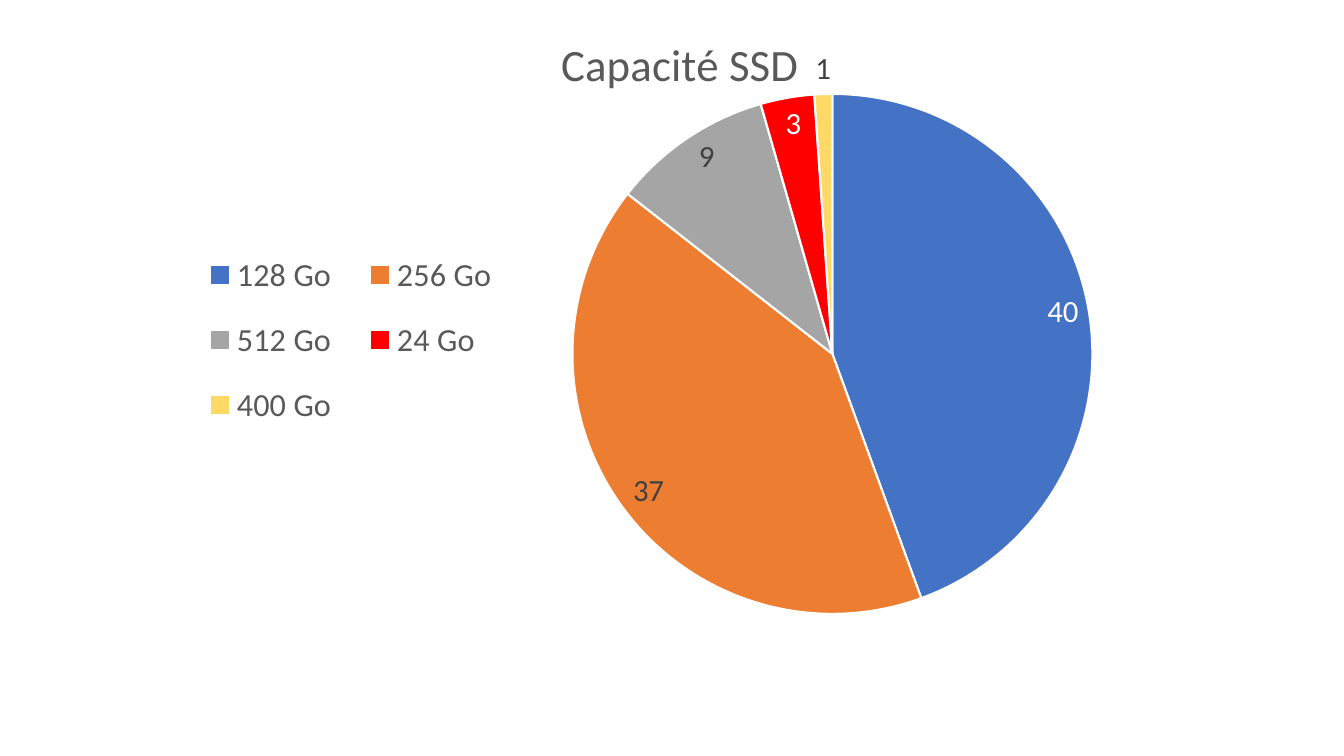
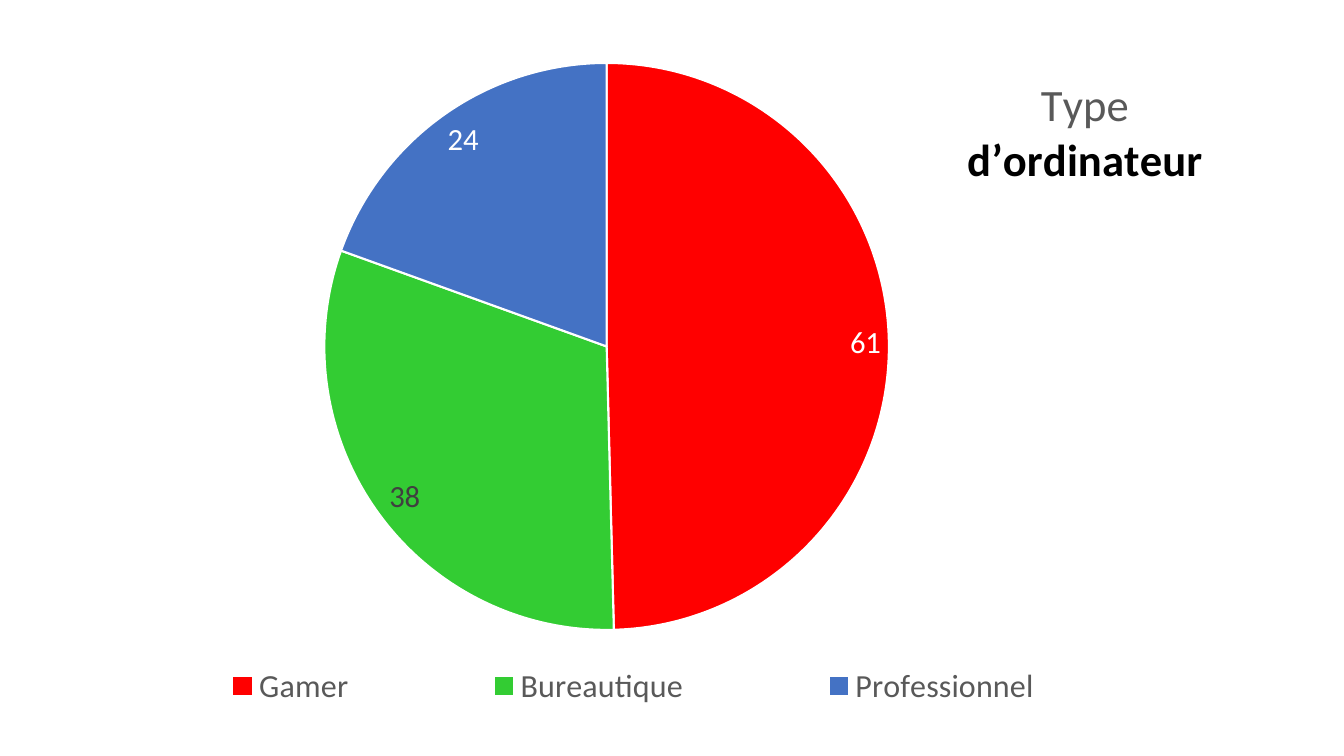
from lxml.etree import SubElement
from pptx import Presentation
from pptx.chart.data import CategoryChartData as ChartData
from pptx.dml.color import RGBColor
from pptx.enum.chart import XL_CHART_TYPE as Chart, XL_LABEL_POSITION as Label
from pptx.enum.chart import XL_LEGEND_POSITION as Legend
from pptx.oxml.ns import qn
from pptx.util import Emu, Pt

PX = 9525 * 96 / 100.8
FONT = "Calibri"
BLACK = RGBColor(0x00, 0x00, 0x00)
WHITE = RGBColor(0xFF, 0xFF, 0xFF)
GRAY = RGBColor(0x59, 0x59, 0x59)
DARK = RGBColor(0x40, 0x40, 0x40)
BLUE = RGBColor(0x44, 0x72, 0xC4)
ORANGE = RGBColor(0xED, 0x7D, 0x31)
SILVER = RGBColor(0xA5, 0xA5, 0xA5)
RED = RGBColor(0xFF, 0x00, 0x00)
YELLOW = RGBColor(0xFF, 0xD9, 0x66)
GREEN = RGBColor(0x33, 0xCC, 0x33)

BASE = {"name": FONT, "size": Pt(10), "color": BLACK}
PLAIN = {"name": FONT, "size": Pt(32), "bold": False, "color": GRAY}
STRONG = {**PLAIN, "bold": True, "color": BLACK}
KEY = {"name": FONT, "size": Pt(23), "color": GRAY}
VALUE = {"name": FONT, "size": Pt(22), "color": DARK}

# Boxes are left, top, width, height in px on the slide.
# Each slice is category, value, fill, label colour.
PIES = [
    {
        "title": [("Capacité SSD", PLAIN)],
        "slices": [
            ("128 Go", 40, BLUE, WHITE),
            ("256 Go", 37, ORANGE, DARK),
            ("512 Go", 9, SILVER, DARK),
            ("24 Go", 3, RED, WHITE),
            ("400 Go", 1, YELLOW, DARK),
        ],
        "frame": (167, 0, 1010, 718),
        "boxes": {
            "title": (553, 25),
            "legend": (182, 230, 338, 220),
            "plotArea": (494, 94, 689, 520),
        },
    },
    {
        "title": [("Type", PLAIN), ("d’ordinateur", STRONG)],
        "slices": [
            ("Gamer", 61, RED, WHITE),
            ("Bureautique", 38, GREEN, DARK),
            ("Professionnel", 24, BLUE, WHITE),
        ],
        "frame": (82, 19, 1124, 718),
        "boxes": {
            "title": (968, 73),
            "legend": (98, 655, 1076, 62),
            "plotArea": (325, 63, 568, 567),
        },
    },
]


def px(n):
    return Emu(round(n * PX))


def style(font, look):
    for key, val in look.items():
        if key == "color":
            font.color.rgb = val
        else:
            setattr(font, key, val)


def place(chart, part, box, frame):
    """Give a chart part a manual layout, as fractions of the chart frame."""
    node = chart._chartSpace.xpath(f"c:chart/c:{part}")[0]
    for old in node.findall(qn("c:layout")):
        node.remove(old)
    layout = SubElement(node, qn("c:layout"))
    node.insert(0 if part == "plotArea" else 1, layout)
    manual = SubElement(layout, qn("c:manualLayout"))
    x, y, wide, high = frame
    rules = [("layoutTarget", "inner")] if part == "plotArea" else []
    rules += [("xMode", "edge"), ("yMode", "edge")]
    spots = [(box[0] - x) / wide, (box[1] - y) / high]
    spots += [n / full for n, full in zip(box[2:], (wide, high))]
    rules += [(tag, f"{n:.4f}") for tag, n in zip("xywh", spots)]
    for tag, val in rules:
        SubElement(manual, qn(f"c:{tag}")).set("val", val)


def add_title(chart, lines):
    frame = chart.chart_title.text_frame
    for i, (text, look) in enumerate(lines):
        para = frame.add_paragraph() if i else frame.paragraphs[0]
        run = para.add_run()
        run.text = text
        style(run.font, look)
    chart.chart_title.include_in_layout = False


def paint(plot, slices):
    plot.vary_by_categories = True
    plot.has_data_labels = True
    labels = plot.data_labels
    labels.show_value = True
    labels.position = Label.BEST_FIT
    style(labels.font, VALUE)
    for i, (_, _, fill, ink) in enumerate(slices):
        point = plot.series[0].points[i]
        point.format.fill.solid()
        point.format.fill.fore_color.rgb = fill
        point.format.line.color.rgb = WHITE
        point.format.line.width = Pt(1.5)
        label = point.data_label
        style(label.font, {**VALUE, "color": ink})
        label.position = Label.BEST_FIT


def add_pie(slide, pie):
    data = ChartData()
    data.categories = [row[0] for row in pie["slices"]]
    data.add_series("Series 1", [row[1] for row in pie["slices"]])
    spot = [px(n) for n in pie["frame"]]
    chart = slide.shapes.add_chart(Chart.PIE, *spot, data).chart
    style(chart.font, BASE)
    add_title(chart, pie["title"])
    chart.has_legend = True
    chart.legend.position = Legend.BOTTOM
    chart.legend.include_in_layout = False
    style(chart.legend.font, KEY)
    paint(chart.plots[0], pie["slices"])
    for part, box in pie["boxes"].items():
        place(chart, part, box, pie["frame"])


def main():
    deck = Presentation()
    deck.slide_width, deck.slide_height = px(1344), px(756)
    blank = deck.slide_layouts[6]
    for pie in PIES:
        add_pie(deck.slides.add_slide(blank), pie)
    deck.save("out.pptx")


if __name__ == "__main__":
    main()
